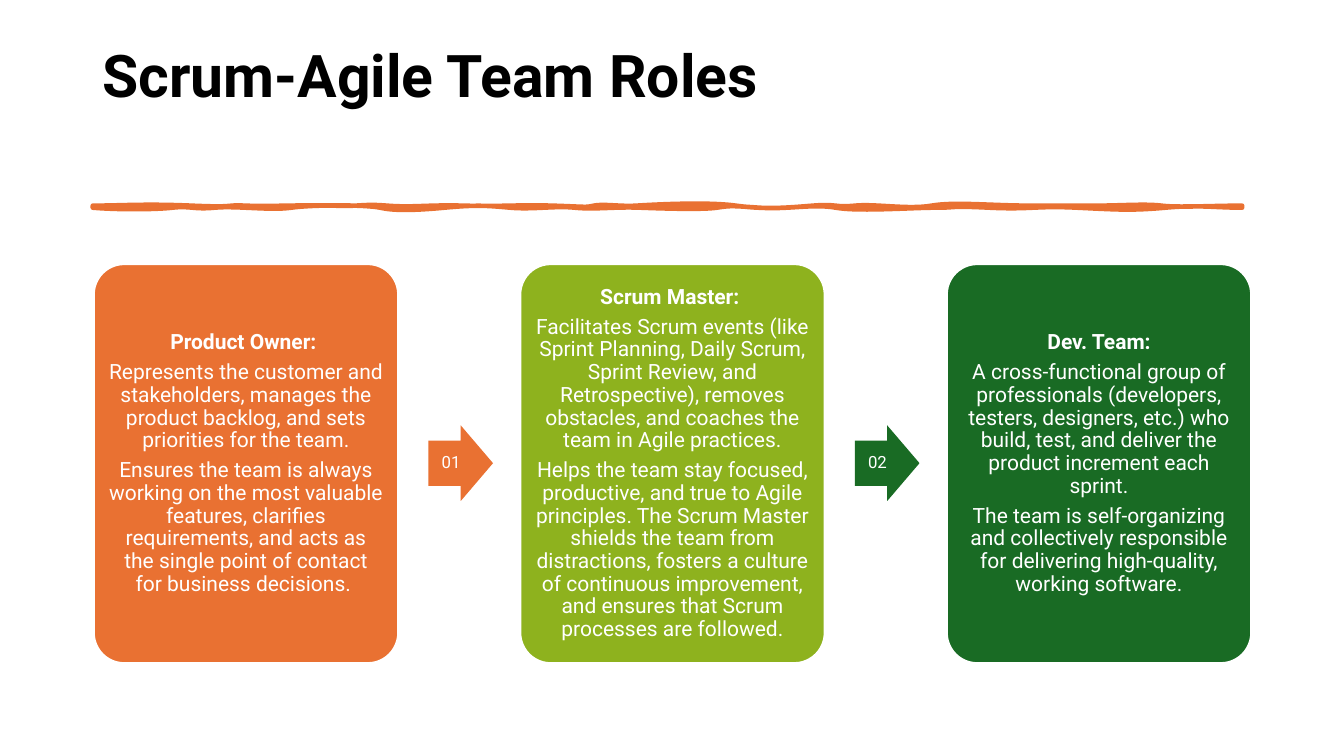
from lxml import etree
from pptx import Presentation
from pptx import util as u
from pptx.dml.color import RGBColor
from pptx.enum import shapes, text
from pptx.oxml import ns

FONT = "Roboto"
ORANGE, LIME, GREEN, WHITE = "E97132", "8EB21E", "196B24", "FFFFFF"

# Role cards: fill, heading, paragraphs
ROLES = [
    (ORANGE, "Product Owner: ", [
        "Represents the customer and stakeholders, manages the product backlog, "
        "and sets priorities for the team.",
        "Ensures the team is always working on the most valuable features, clarifies "
        "requirements, and acts as the single point of contact for business decisions. "]),
    (LIME, "Scrum Master: ", [
        "Facilitates Scrum events (like Sprint Planning, Daily Scrum, Sprint Review, "
        "and Retrospective), removes obstacles, and coaches the team in Agile practices.",
        "Helps the team stay focused, productive, and true to Agile principles. "
        "The Scrum Master shields the team from distractions, fosters a culture of "
        "continuous improvement, and ensures that Scrum processes are followed."]),
    (GREEN, "Dev. Team:", [
        "A cross-functional group of professionals (developers, testers, designers, etc.) "
        "who build, test, and deliver the product increment each sprint.",
        "The team is self-organizing and collectively responsible for delivering "
        "high-quality, working software."]),
]
ARROWS = [(ORANGE, "01"), (GREEN, "02")]

# Rule edges: each curve is (x1, y1, x2, y2, end x); ends lie on the edge
LEFT, RIGHT, TOP, BASE = 0.92, 12.32, 2.04, 2.06
UPPER = [
    (1.19, 2.04, 1.44, 2.02, 1.9), (2.37, 2.06, 2.2, 2.03, 2.44),
    (2.67, 2.05, 3.03, 2.03, 3.31), (3.6, 2.05, 3.59, 2.02, 3.84),
    (4.1, 2.06, 4.23, 2.03, 4.6), (4.98, 2.05, 5.14, 2.03, 5.48),
    (5.81, 2.05, 5.81, 2.06, 5.89), (5.98, 2.02, 6.15, 2.05, 6.31),
    (6.47, 2.03, 7.01, 2, 7.3), (7.59, 2.08, 7.81, 2.06, 8.06),
    (8.31, 2.02, 8.27, 2.06, 8.48), (8.68, 2.02, 9.01, 2.08, 9.24),
    (9.47, 2, 9.82, 2.04, 10.23), (10.63, 2.04, 10.63, 2.04, 10.87),
    (11.12, 2.04, 11.36, 2.02, 11.52), (11.68, 2.06, 12.03, 2.04, RIGHT),
]
LOWER = [
    (12.05, 2.06, 11.89, 2.03, 11.56), (11.22, 2.09, 11.1, 2.08, 10.68),
    (10.27, 2.04, 10.23, 2.08, 9.81), (9.39, 2.04, 9.52, 2.06, 9.28),
    (9.04, 2.06, 8.51, 2.1, 8.29), (8.06, 2.02, 7.82, 2.08, 7.53),
    (7.24, 2.04, 7.25, 2.04, 7.11), (6.98, 2.08, 6.61, 2.07, 6.35),
    (6.09, 2.05, 5.9, 2.08, 5.7), (5.51, 2.04, 5.28, 2.08, 5.06),
    (4.83, 2.04, 4.73, 2.03, 4.41), (4.09, 2.09, 3.9, 2.09, 3.77),
    (3.63, 2.03, 3.1, 2.03, 2.89), (2.68, 2.09, 2.35, 2.04, 2.13),
    (1.92, 2.08, 1.89, 2.04, 1.71), (1.54, 2.08, 1.14, 2.08, LEFT),
]


def color(code):
    return RGBColor.from_string(code)


def paint(shape, fill, line=None, width=0):
    shape.shadow.inherit = False
    shape.fill.solid()
    shape.fill.fore_color.rgb = color(fill)
    if line:
        shape.line.color.rgb = color(line)
        shape.line.width = u.Pt(width)
    else:
        shape.line.fill.background()


def write(shape, lines, size, ink, inset, bold=False, align=text.PP_ALIGN.CENTER,
          anchor=text.MSO_ANCHOR.MIDDLE, after=0):
    """Fill a shape with paragraphs; bold applies to the first one."""
    frame = shape.text_frame
    frame.word_wrap = True
    frame.vertical_anchor = anchor
    (frame.margin_left, frame.margin_top,
     frame.margin_right, frame.margin_bottom) = map(u.Inches, inset)
    for i, line in enumerate(lines):
        para = frame.add_paragraph() if i else frame.paragraphs[0]
        para.text = line
        para.alignment = align
        para.line_spacing = 0.9
        para.space_after = u.Pt(after)
        font = para.font
        font.name, font.size, font.bold = FONT, u.Pt(size), bold and i == 0
        font.color.rgb = color(ink)


def add_title(slide, words):
    box = slide.shapes.add_textbox(*map(u.Inches, (0.92, 0.4, 11.5, 1.45)))
    write(box, [words], 42, "000000", (0.1, 0.06, 0.1, 0.05), bold=True,
          align=text.PP_ALIGN.LEFT, anchor=text.MSO_ANCHOR.TOP)


def bend(segment, curve):
    """Turn a straight segment into a cubic curve."""
    segment.tag = ns.qn("a:cubicBezTo")
    for i in (0, 1):
        x, y = curve[2 * i:2 * i + 2]
        point = etree.Element(ns.qn("a:pt"), x=str(u.Inches(x - LEFT)),
                              y=str(u.Inches(y - TOP)))
        segment.insert(i, point)


def add_rule(slide):
    ends = ([(c[-1], TOP) for c in UPPER] + [(RIGHT, BASE)]
            + [(c[-1], BASE) for c in LOWER])
    pen = slide.shapes.build_freeform(u.Inches(LEFT), u.Inches(TOP))
    pen.add_line_segments([(u.Inches(x), u.Inches(y)) for x, y in ends])
    rule = pen.convert_to_shape()
    sides = list(rule.element.iter(ns.qn("a:lnTo")))
    for segment, curve in zip(sides, UPPER + [None] + LOWER):
        if curve:
            bend(segment, curve)
    paint(rule, ORANGE, ORANGE, 3.25)


def add_card(slide, left, fill, head, body):
    card = slide.shapes.add_shape(shapes.MSO_SHAPE.ROUNDED_RECTANGLE,
                                  *map(u.Inches, (left, 2.62, 3.02, 3.96)))
    card.adjustments[0] = 0.1
    paint(card, fill, WHITE, 1.5)
    write(card, [head] + body, 15, WHITE, (0.06,) * 4, bold=True, after=5.25)


def add_arrow(slide, left, fill, label):
    arrow = slide.shapes.add_shape(shapes.MSO_SHAPE.RIGHT_ARROW,
                                   *map(u.Inches, (left, 4.22, 0.64, 0.75)))
    arrow.adjustments[0], arrow.adjustments[1] = 0.6, 0.5
    paint(arrow, fill)
    write(arrow, [label], 12, WHITE, (0, 0, 0, 0), after=4.2)


def main():
    deck = Presentation()
    deck.slide_width, deck.slide_height = u.Inches(13.33), u.Inches(7.5)
    slide = deck.slides.add_slide(deck.slide_layouts[6])

    # Heading
    add_title(slide, "Scrum-Agile Team Roles")
    add_rule(slide)

    # Flow of roles
    first, pitch = 0.93, 4.23
    for i, role in enumerate(ROLES):
        add_card(slide, first + i * pitch, *role)
    for i, step in enumerate(ARROWS):
        add_arrow(slide, first + 3.32 + i * pitch, *step)

    deck.save("out.pptx")


if __name__ == "__main__":
    main()
